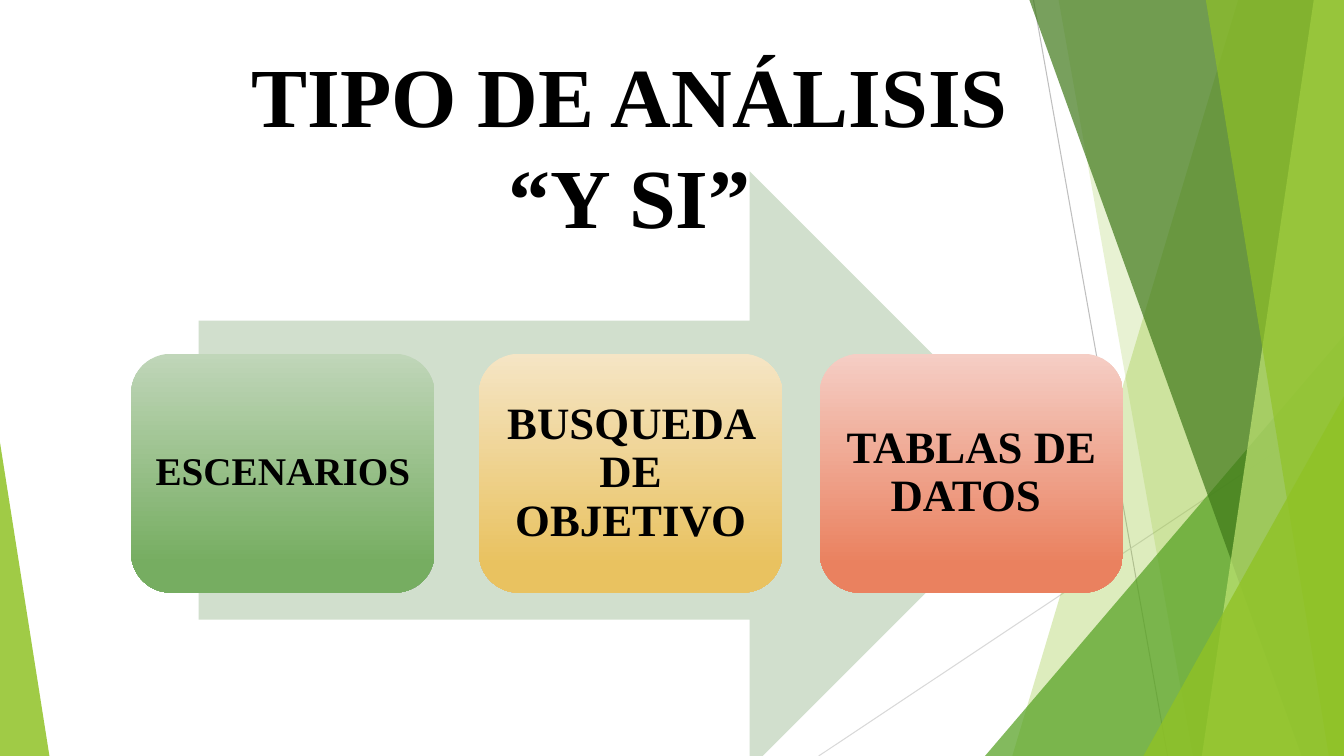
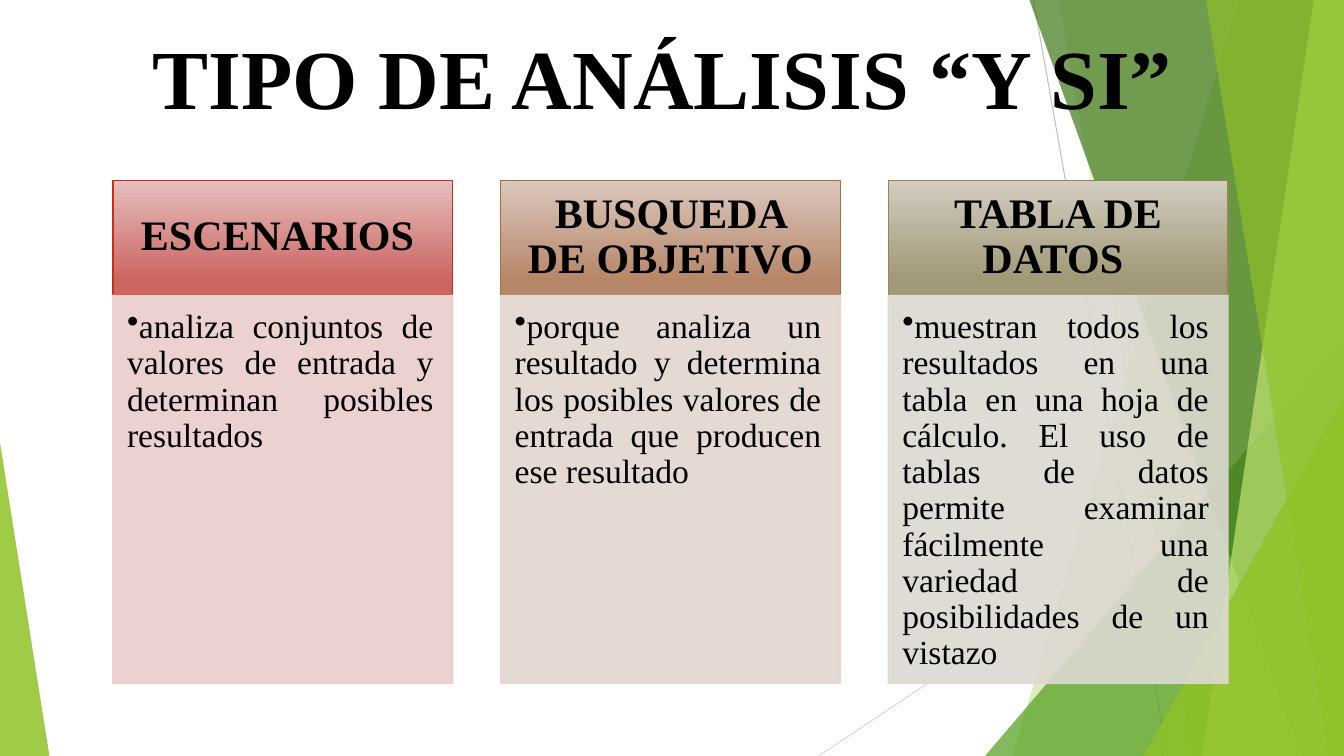
from lxml.etree import SubElement
from pptx import Presentation
from pptx.dml.color import RGBColor
from pptx.enum.shapes import MSO_CONNECTOR, MSO_SHAPE
from pptx.enum.text import MSO_ANCHOR, MSO_AUTO_SIZE, PP_ALIGN
from pptx.oxml.ns import qn
from pptx.util import Inches, Pt

FONT = "Times New Roman"
TITLE = "TIPO DE ANÁLISIS “Y SI”"
SLIDE_W, SLIDE_H = 13.33, 7.5

BLACK = RGBColor(0x00, 0x00, 0x00)
GRAY = RGBColor(0xBF, 0xBF, 0xBF)
LIGHT_GRAY = RGBColor(0xD9, 0xD9, 0xD9)
LIME = RGBColor(0x90, 0xC2, 0x26)
PALE_LIME = RGBColor(0xC0, 0xE4, 0x74)
GREEN = RGBColor(0x54, 0xA0, 0x21)
DARK_GREEN = RGBColor(0x3F, 0x78, 0x19)
ARROW_GREEN = RGBColor(0xD1, 0xDF, 0xCD)

# Left, text, size, inset, gradient top, gradient bottom
CARDS = [
    (1.3, "ESCENARIOS ", 28, 0.12,
     RGBColor(0xC0, 0xD6, 0xB9), RGBColor(0x76, 0xAD, 0x61)),
    (4.75, "BUSQUEDA DE OBJETIVO", 32, 0.13,
     RGBColor(0xF5, 0xE5, 0xC5), RGBColor(0xE9, 0xC2, 0x60)),
    (8.13, "TABLAS DE DATOS ", 32, 0.13,
     RGBColor(0xF5, 0xCE, 0xC5), RGBColor(0xEA, 0x81, 0x5F)),
]

# Heading, body, gradient top, gradient bottom, heading line, body fill
COLUMNS = [
    ("ESCENARIOS ",
     "analiza conjuntos de valores de entrada y determinan posibles resultados",
     RGBColor(0xE6, 0xBF, 0xBE), RGBColor(0xCB, 0x65, 0x60),
     RGBColor(0xC4, 0x2F, 0x1A), RGBColor(0xEA, 0xCD, 0xCD)),
    ("BUSQUEDA DE OBJETIVO",
     "porque analiza un resultado y determina los posibles valores de entrada "
     "que producen ese resultado",
     RGBColor(0xDB, 0xC7, 0xBD), RGBColor(0xB6, 0x86, 0x68),
     RGBColor(0xAB, 0x6E, 0x37), RGBColor(0xE3, 0xD7, 0xCF)),
    ("TABLA DE DATOS ",
     "muestran todos los resultados en una tabla en una hoja de cálculo. El uso "
     "de tablas de datos permite examinar fácilmente una variedad de "
     "posibilidades de un vistazo",
     RGBColor(0xD1, 0xCD, 0xC0), RGBColor(0xA1, 0x98, 0x77),
     RGBColor(0x91, 0x86, 0x55), RGBColor(0xDC, 0xD9, 0xD1)),
]


def set_opacity(sp, percent):
    """Apply one opacity to the fill and line colours of a shape."""
    for color in sp.element.xpath("./p:spPr//a:srgbClr"):
        SubElement(color, qn("a:alpha")).set("val", str(percent * 1000))


def paint(sp, fill, line=None, opacity=100):
    """Fill with a colour, or with a (top, bottom) gradient pair."""
    sp.shadow.inherit = False
    if isinstance(fill, RGBColor):
        sp.fill.solid()
        sp.fill.fore_color.rgb = fill
    else:
        sp.fill.gradient()
        sp.fill.gradient_angle = 270
        for stop, color, position in zip(sp.fill.gradient_stops, fill, (0, 0.88)):
            stop.color.rgb = color
            stop.position = position
    if line is None:
        sp.line.fill.background()
    else:
        sp.line.color.rgb = line
        sp.line.width = Pt(1)
    if opacity < 100:
        set_opacity(sp, opacity)


def add_box(s, kind, left, top, width, height):
    return s.shapes.add_shape(kind, Inches(left), Inches(top),
                              Inches(width), Inches(height))


def add_line(s, x1, y1, x2, y2, color):
    line = s.shapes.add_connector(MSO_CONNECTOR.STRAIGHT, Inches(x1), Inches(y1),
                                  Inches(x2), Inches(y2))
    line.line.color.rgb = color
    line.line.width = Pt(0.75)
    SubElement(line.element.spPr, qn("a:effectLst"))
    return line


def add_band(s, top_x, bottom_x, color, opacity):
    """Band from a slanted left edge to the right edge of the slide."""
    builder = s.shapes.build_freeform(Inches(top_x), 0)
    builder.add_line_segments([(Inches(x), Inches(y)) for x, y in (
        (SLIDE_W, 0), (SLIDE_W, SLIDE_H), (bottom_x, SLIDE_H))])
    band = builder.convert_to_shape()
    paint(band, color, opacity=opacity)
    return band


def add_corner(s, left, top, width, apex, color, opacity):
    """Triangle on the bottom edge, its apex at the left (0) or right (1)."""
    corner = add_box(s, MSO_SHAPE.ISOSCELES_TRIANGLE, left, top, width, SLIDE_H - top)
    corner.adjustments[0] = apex
    paint(corner, color, opacity=opacity)
    return corner


def decorate_layout(s):
    """Draw the facets on a slide, then move them to its layout."""
    facets = [
        add_line(s, 10.25, 0, 11.58, SLIDE_H, GRAY),
        add_line(s, SLIDE_W, 4.03, 8.12, SLIDE_H, LIGHT_GRAY),
        add_band(s, 12.28, 10.04, LIME, 30),
        add_band(s, 10.5, 11.83, LIME, 20),
        add_corner(s, 9.77, 3.33, 3.56, 1, GREEN, 72),
        add_band(s, 10.21, 12.91, DARK_GREEN, 70),
        add_band(s, 13.03, 11.92, PALE_LIME, 70),
        add_band(s, 11.96, 13.18, LIME, 65),
        add_corner(s, 11.34, 3.93, 1.99, 1, LIME, 80),
        add_corner(s, 0, 4.39, 0.49, 0, LIME, 85),
    ]
    for shape_id, facet in enumerate(facets, 100):
        facet.element.xpath(".//p:cNvPr")[0].set("id", str(shape_id))
        s.slide_layout.shapes.element.append(facet.element)


def add_run(p, text, size, bold):
    r = p.add_run()
    r.text = text
    r.font.name = FONT
    r.font.size = Pt(size)
    r.font.bold = bold
    r.font.color.rgb = BLACK


def set_title(s, left, top, width, height):
    sp = s.shapes.title
    sp.left, sp.top = Inches(left), Inches(top)
    sp.width, sp.height = Inches(width), Inches(height)
    tf = sp.text_frame
    tf.auto_size = MSO_AUTO_SIZE.NONE
    tf.vertical_anchor = MSO_ANCHOR.TOP
    p = tf.paragraphs[0]
    p.alignment = PP_ALIGN.CENTER
    p.line_spacing = Pt(72.5)
    add_run(p, TITLE, 60, True)


def start_text(sp, insets, anchor, alignment):
    """Prepare the frame of a shape and return its first paragraph."""
    tf = sp.text_frame
    tf.word_wrap = True
    tf.vertical_anchor = anchor
    (tf.margin_left, tf.margin_top,
     tf.margin_right, tf.margin_bottom) = map(Inches, insets)
    p = tf.paragraphs[0]
    p.alignment = alignment
    p.line_spacing = 0.9
    return p


def write_heading(sp, text, size, inset_x, inset_y):
    p = start_text(sp, (inset_x, inset_y) * 2, MSO_ANCHOR.MIDDLE, PP_ALIGN.CENTER)
    add_run(p, text, size, True)


def write_bullet(sp, text):
    p = start_text(sp, (0.14, 0.14, 0.19, 0.21), MSO_ANCHOR.TOP, PP_ALIGN.JUSTIFY)
    pPr = p._p.get_or_add_pPr()
    pPr.set("marL", "0")
    pPr.set("indent", "0")
    SubElement(pPr, qn("a:buChar")).set("char", "•")
    add_run(p, text, 24, False)


def build_types(s):
    set_title(s, 2.17, 0.37, 8.15, 2.12)
    arrow = add_box(s, MSO_SHAPE.RIGHT_ARROW, 1.97, 1.7, 8.43, 5.93)
    paint(arrow, ARROW_GREEN)
    for left, text, size, inset, top_color, bottom_color in CARDS:
        card = add_box(s, MSO_SHAPE.ROUNDED_RECTANGLE, left, 3.51, 3.01, 2.37)
        paint(card, (top_color, bottom_color))
        write_heading(card, text, size, inset, inset)


def build_definitions(s):
    set_title(s, 0.99, 0.2, 11.16, 1.11)
    first, last, width = 1.12, 8.81, 3.37
    step = (last - first) / (len(COLUMNS) - 1)
    for i, (heading, body, top_color, bottom_color, line, fill) in enumerate(COLUMNS):
        left = first + i * step
        head = add_box(s, MSO_SHAPE.RECTANGLE, left, 1.79, width, 1.13)
        paint(head, (top_color, bottom_color), line)
        write_heading(head, heading, 30, 0.23, 0.13)
        panel = add_box(s, MSO_SHAPE.RECTANGLE, left, 2.93, width, 3.85)
        paint(panel, fill, fill, 90)
        write_bullet(panel, body)


def main():
    prs = Presentation()
    prs.slide_width, prs.slide_height = Inches(SLIDE_W), Inches(SLIDE_H)
    layout = prs.slide_layouts[5]
    types, definitions = (prs.slides.add_slide(layout) for _ in range(2))
    decorate_layout(types)
    build_types(types)
    build_definitions(definitions)
    prs.save("out.pptx")


if __name__ == "__main__":
    main()
